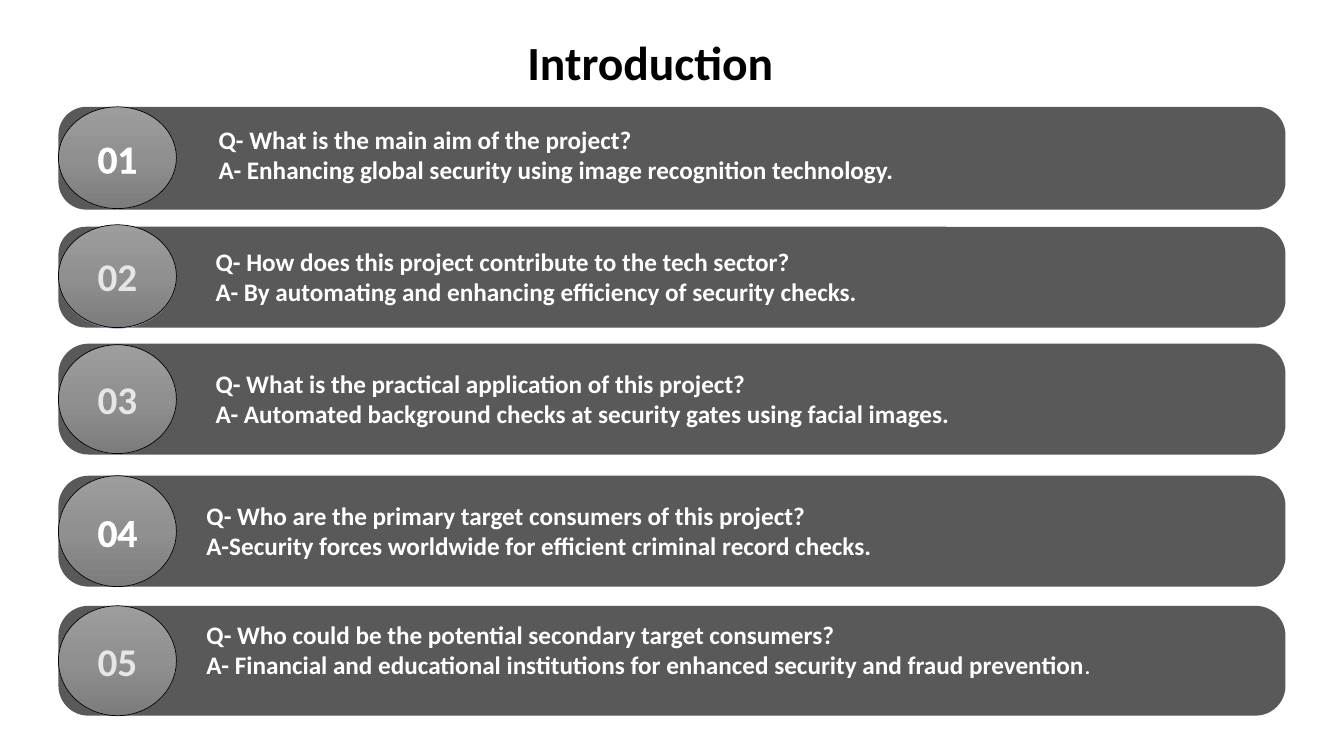
from copy import deepcopy
from dataclasses import dataclass

from lxml.etree import SubElement
from pptx import Presentation
from pptx.dml.color import RGBColor
from pptx.enum.shapes import MSO_SHAPE
from pptx.enum.text import MSO_ANCHOR, MSO_AUTO_SIZE, PP_ALIGN
from pptx.oxml.ns import qn
from pptx.util import Inches, Pt

BLACK = RGBColor(0x00, 0x00, 0x00)
WHITE = RGBColor(0xFF, 0xFF, 0xFF)
PALE = RGBColor(0xE7, 0xE6, 0xE6)
BAR_GRAY = RGBColor(0x59, 0x59, 0x59)
BACKING_BLUE = RGBColor(0x8F, 0xAA, 0xDC)
BADGE_STOPS = [
    (0, RGBColor(0x9D, 0x9D, 0x9D)),
    (0.5, RGBColor(0x90, 0x90, 0x90)),
    (1, RGBColor(0x7C, 0x7C, 0x7C)),
]

BAR_LEFT, BAR_WIDTH, BADGE_WIDTH = 0.58, 12.17, 1.17


@dataclass
class Entry:
    bar: tuple
    backing: tuple
    badge: tuple
    words_at: tuple
    words_width: float
    number_color: RGBColor
    question: str
    answer: str
    ending: str = ""


ENTRIES = [
    Entry((1.06, 1.02), (1.07, 1), (1.06, 1.01), (2.07, 1.18), 7.7, WHITE,
          "Q- What is the main aim of the project?",
          "A- Enhancing global security using image recognition technology."),
    Entry((2.25, 1), (2.24, 1.02), (2.23, 1.02), (2.04, 2.39), 8.68, PALE,
          "Q- How does this project contribute to the tech sector?",
          "A- By automating and enhancing efficiency of security checks."),
    Entry((3.41, 1.1), (3.43, 1.06), (3.42, 1.08), (2.04, 3.6), 9.43, PALE,
          "Q- What is the practical application of this project?",
          "A- Automated background checks at security gates using facial images."),
    Entry((4.72, 1.1), (4.72, 1.09), (4.72, 1.1), (1.95, 4.91), 7.7, WHITE,
          "Q- Who are the primary target consumers of this project?",
          "A-Security forces worldwide for efficient criminal record checks."),
    Entry((6.01, 1.09), (6.01, 1.09), (6.01, 1.09), (1.95, 6.09), 9.96, PALE,
          "Q- Who could be the potential secondary target consumers?",
          "A- Financial and educational institutions for enhanced security and fraud prevention",
          "."),
]


def write(paragraph, text, size=18, color=WHITE, bold=True, align=PP_ALIGN.LEFT):
    paragraph.alignment = align
    run = paragraph.add_run()
    run.text = text
    run.font.name = "Calibri"
    run.font.size = Pt(size)
    run.font.bold = bold
    run.font.color.rgb = color
    return run


def add_plain(slide, preset, left, top, width, height, color):
    plain = slide.shapes.add_shape(
        preset, Inches(left), Inches(top), Inches(width), Inches(height))
    plain.shadow.inherit = False
    plain.fill.solid()
    plain.fill.fore_color.rgb = color
    plain.line.fill.background()
    return plain


def shade(badge):
    badge.fill.gradient()
    badge.fill.gradient_angle = 270
    stop_list = badge._element.spPr.find(".//" + qn("a:gsLst"))
    stop_list.append(deepcopy(stop_list[0]))
    for stop, (position, color) in zip(badge.fill.gradient_stops, BADGE_STOPS):
        stop.position = position
        stop.color.rgb = color


def outline(run):
    properties = run.font._element
    edge = SubElement(properties, qn("a:ln"), w=str(Pt(0.75)))
    edge_fill = SubElement(edge, qn("a:solidFill"))
    SubElement(edge_fill, qn("a:srgbClr"), val=str(WHITE))
    properties.insert(0, edge)


def add_title(slide, left, top, width, height):
    title = slide.shapes.title
    title.left, title.top = Inches(left), Inches(top)
    title.width, title.height = Inches(width), Inches(height)
    frame = title.text_frame
    frame.word_wrap = True
    frame.auto_size = MSO_AUTO_SIZE.SHAPE_TO_FIT_TEXT
    frame.vertical_anchor = MSO_ANCHOR.TOP
    frame.paragraphs[0].line_spacing = 1.0
    write(frame.paragraphs[0], "Introduction", size=34, color=BLACK)


def add_badge(slide, number, left, top, width, height, color):
    badge = add_plain(slide, MSO_SHAPE.OVAL, left, top, width, height, BAR_GRAY)
    shade(badge)
    badge.line.color.rgb = BLACK
    badge.line.width = Pt(0.5)
    badge.text_frame.vertical_anchor = MSO_ANCHOR.MIDDLE
    outline(write(badge.text_frame.paragraphs[0], f"{number:02}",
                  size=28, color=color, align=PP_ALIGN.CENTER))


def add_words(slide, entry, left, top, width, height):
    words = slide.shapes.add_textbox(
        Inches(left), Inches(top), Inches(width), Inches(height))
    frame = words.text_frame
    frame.word_wrap = True
    frame.auto_size = MSO_AUTO_SIZE.SHAPE_TO_FIT_TEXT
    write(frame.paragraphs[0], entry.question)
    answer = frame.add_paragraph()
    write(answer, entry.answer)
    if entry.ending:
        write(answer, entry.ending, bold=False)


def add_entry(slide, number, entry, left, width):
    bar_top, bar_height = entry.bar
    bar = add_plain(slide, MSO_SHAPE.ROUNDED_RECTANGLE,
                    left, bar_top, width, bar_height, BAR_GRAY)
    bar.adjustments[0] = 0.272
    backing_top, backing_height = entry.backing
    add_plain(slide, MSO_SHAPE.OVAL,
              left, backing_top, BADGE_WIDTH, backing_height, BACKING_BLUE)
    badge_top, badge_height = entry.badge
    add_badge(slide, number, left, badge_top, BADGE_WIDTH, badge_height,
              entry.number_color)
    add_words(slide, entry, *entry.words_at, entry.words_width, 0.71)


def main():
    deck = Presentation()
    deck.slide_width, deck.slide_height = Inches(13.33), Inches(7.5)
    slide = deck.slides.add_slide(deck.slide_layouts[5])
    add_title(slide, 5.13, 0.28, 3.47, 0.67)
    for number, entry in enumerate(ENTRIES, start=1):
        add_entry(slide, number, entry, BAR_LEFT, BAR_WIDTH)
    deck.save("out.pptx")


if __name__ == "__main__":
    main()
